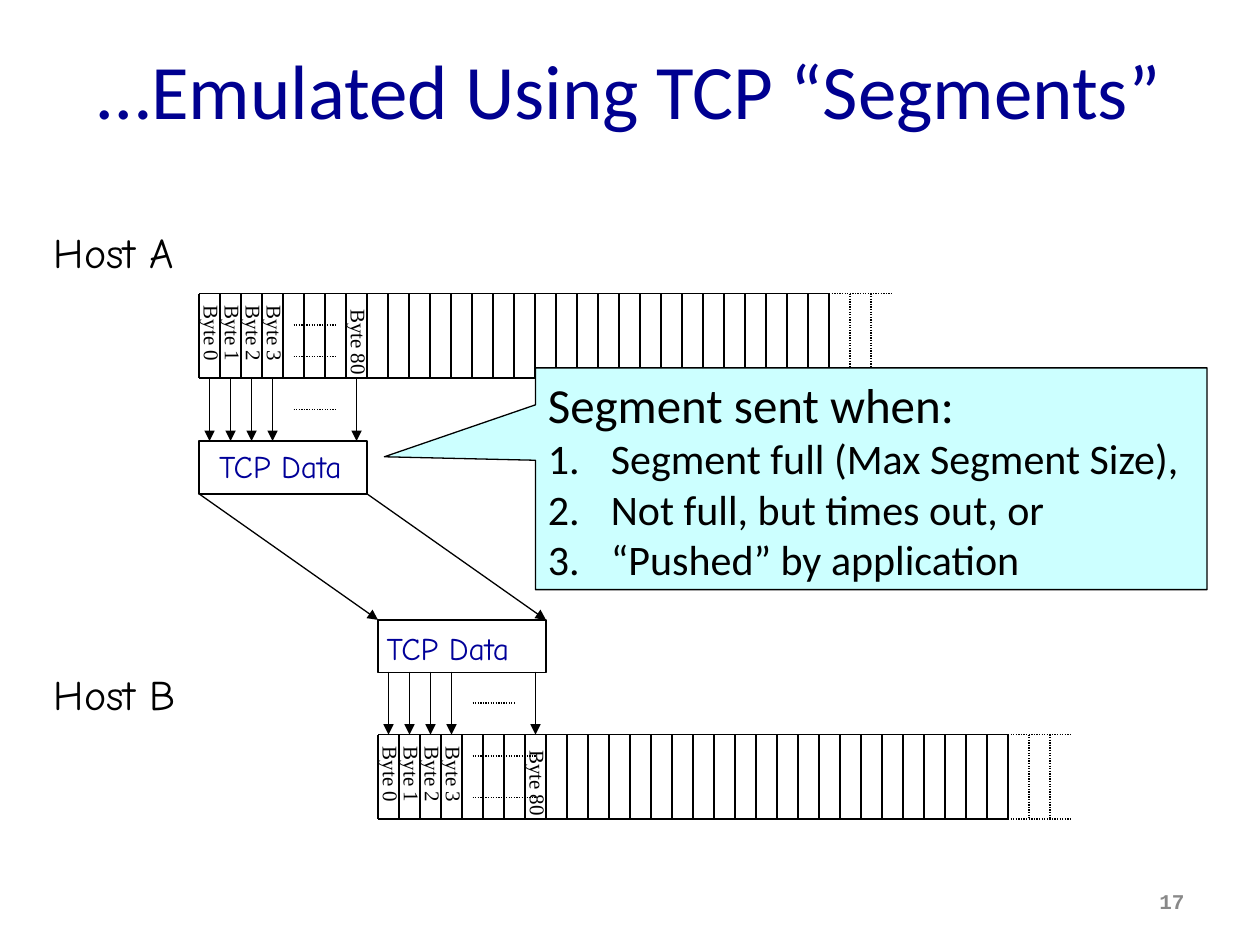
from lxml.etree import SubElement
from pptx import Presentation
from pptx.dml.color import RGBColor
from pptx.enum.dml import MSO_LINE
from pptx.enum.shapes import MSO_CONNECTOR, MSO_SHAPE
from pptx.enum.text import MSO_ANCHOR, PP_ALIGN
from pptx.oxml.ns import qn
from pptx.util import Inches, Pt

BLACK = RGBColor(0x00, 0x00, 0x00)
WHITE = RGBColor(0xFF, 0xFF, 0xFF)
NAVY = RGBColor(0x00, 0x00, 0x90)
BLUE = RGBColor(0x00, 0x00, 0x99)
GRAY = RGBColor(0x89, 0x89, 0x89)
PALE_CYAN = RGBColor(0xCC, 0xFF, 0xFF)

TITLE = "…Emulated Using TCP “Segments”"
CALLOUT_HEADING = "Segment sent when:"
CALLOUT_ITEMS = [
    "Segment full (Max Segment Size),",
    "Not full, but times out, or",
    "“Pushed” by application",
]
SLIDE_NUMBER = "17"
SEGMENT_TEXT = "TCP Data"

# Cell index, label, label width, distance of label centre below the stream top
BYTES = [(index, f"Byte {index}", 0.64, 0.32) for index in range(4)]
BYTES.append((7, "Byte 80", 0.73, 0.39))

# dots: left, right and heights of the dotted lines that stand for omitted bytes
HOSTS = [
    {"name": "Host A", "name_at": (0.33, 1.75, 1.29, 0.5),
     "left": 1.58, "top": 2.33, "segment_top": 3.5, "text_at": (1.64, 3.5, 1.28, 0.4),
     "arrows": (3.0, 3.5),
     "dots": [(2.33, 2.67, 2.58), (2.33, 2.67, 2.83), (2.33, 2.67, 3.25)]},
    {"name": "Host B", "name_at": (0.33, 5.26, 1.26, 0.5),
     "left": 3.0, "top": 5.83, "segment_top": 4.92, "text_at": (2.97, 4.94, 1.28, 0.4),
     "arrows": (5.33, 5.83),
     "dots": [(3.75, 4.25, 6.0), (3.75, 4.25, 6.33), (3.75, 4.08, 5.58)]},
]

CELL = 1 / 6
SOLID_CELLS = 30
DOTTED_CELLS = 3
STREAM_HEIGHT = 0.67
SEGMENT_WIDTH = 8 * CELL
SEGMENT_HEIGHT = 0.42


def format_runs(paragraph, size, font_name, color, bold=False):
    for run in paragraph.runs:
        run.font.size = Pt(size)
        run.font.name = font_name
        run.font.bold = bold
        run.font.color.rgb = color


def add_line(shapes, start, end, dotted=False, arrow=False):
    points = [Inches(value) for value in (*start, *end)]
    connector = shapes.add_connector(MSO_CONNECTOR.STRAIGHT, *points)
    connector.line.color.rgb = BLACK
    connector.line.width = Pt(0.75)
    if dotted:
        connector.line.dash_style = MSO_LINE.ROUND_DOT
    properties = connector._element.spPr
    if arrow:
        SubElement(properties.find(qn("a:ln")), qn("a:tailEnd"), type="triangle")
    SubElement(properties, qn("a:effectLst"))


def add_text(shapes, text, box, size, font_name, color, wrap=False, bold=False):
    shape = shapes.add_textbox(*[Inches(value) for value in box])
    shape.text_frame.word_wrap = wrap
    shape.text_frame.text = text
    format_runs(shape.text_frame.paragraphs[0], size, font_name, color, bold)
    return shape


def add_outlined_shape(shapes, kind, box, fill):
    shape = shapes.add_shape(kind, *[Inches(value) for value in box])
    shape.shadow.inherit = False
    shape.fill.solid()
    shape.fill.fore_color.rgb = fill
    shape.line.color.rgb = BLACK
    shape.line.width = Pt(0.75)
    return shape


def add_stream(shapes, host):
    """Draw the byte stream: its cells, its open dotted end and its byte labels."""
    left, top = host["left"], host["top"]
    bottom = top + STREAM_HEIGHT
    solid_end = left + SOLID_CELLS * CELL
    dotted_end = solid_end + DOTTED_CELLS * CELL
    for y in (top, bottom):
        add_line(shapes, (left, y), (solid_end, y))
        add_line(shapes, (solid_end, y), (dotted_end, y), dotted=True)
    for index in range(SOLID_CELLS + DOTTED_CELLS):
        x = left + index * CELL
        add_line(shapes, (x, top), (x, bottom), dotted=index > SOLID_CELLS)
    for index, label, width, center_offset in BYTES:
        center_x = left + (index + 0.5) * CELL + 0.02
        box = (center_x - width / 2, top + center_offset - 0.15, width, 0.3)
        add_text(shapes, label, box, 12, "Times New Roman", BLACK).rotation = 89.8
    for start, end, y in host["dots"]:
        add_line(shapes, (start, y), (end, y), dotted=True)


def add_segment(shapes, host):
    box = (host["left"], host["segment_top"], SEGMENT_WIDTH, SEGMENT_HEIGHT)
    add_outlined_shape(shapes, MSO_SHAPE.RECTANGLE, box, WHITE)
    add_text(shapes, SEGMENT_TEXT, host["text_at"], 18, "Comic Neue", BLUE)
    start, end = host["arrows"]
    for index, *_ in BYTES:
        x = host["left"] + (index + 0.5) * CELL
        add_line(shapes, (x, start), (x, end), arrow=True)


def add_callout(shapes):
    callout = add_outlined_shape(
        shapes, MSO_SHAPE.RECTANGULAR_CALLOUT, (4.25, 2.92, 5.33, 1.76), PALE_CYAN)
    callout.adjustments[0] = -0.725
    callout.adjustments[1] = -0.099
    frame = callout.text_frame
    frame.word_wrap = True
    frame.vertical_anchor = MSO_ANCHOR.TOP
    frame.text = "\n".join([CALLOUT_HEADING, *CALLOUT_ITEMS])
    for index, paragraph in enumerate(frame.paragraphs):
        paragraph.alignment = PP_ALIGN.LEFT
        properties = paragraph._p.get_or_add_pPr()
        properties.set("marL", str(Inches(0.5)))
        properties.set("indent", str(-Inches(0.5)))
        if index > 0:
            SubElement(properties, qn("a:buFont"), typeface="+mj-lt")
            SubElement(properties, qn("a:buAutoNum"), type="arabicPeriod")
        format_runs(paragraph, 24 if index else 28, "Calibri", BLACK)


def main():
    presentation = Presentation()
    presentation.slide_width = Inches(10)
    presentation.slide_height = Inches(7.5)
    slide = presentation.slides.add_slide(presentation.slide_layouts[5])
    shapes = slide.shapes

    title = shapes.title
    title.left, title.top = Inches(0.5), Inches(0.08)
    title.width, title.height = Inches(9), Inches(1.25)
    title.text_frame.text = TITLE
    title.text_frame.vertical_anchor = MSO_ANCHOR.MIDDLE
    title.text_frame.paragraphs[0].alignment = PP_ALIGN.CENTER
    format_runs(title.text_frame.paragraphs[0], 44, "Calibri", NAVY)

    for host in HOSTS:
        add_text(shapes, host["name"], host["name_at"], 24, "Comic Neue", BLACK)
        add_stream(shapes, host)
        add_segment(shapes, host)

    sender, receiver = HOSTS
    for offset in (0, SEGMENT_WIDTH):
        add_line(shapes,
                 (sender["left"] + offset, sender["segment_top"] + SEGMENT_HEIGHT),
                 (receiver["left"] + offset, receiver["segment_top"]), arrow=True)

    add_callout(shapes)
    number = add_text(shapes, SLIDE_NUMBER, (7.17, 6.95, 2.33, 0.4), 12,
                      "Courier New", GRAY, wrap=True, bold=True)
    number.text_frame.vertical_anchor = MSO_ANCHOR.MIDDLE
    number.text_frame.paragraphs[0].alignment = PP_ALIGN.RIGHT

    presentation.save("out.pptx")


if __name__ == "__main__":
    main()
